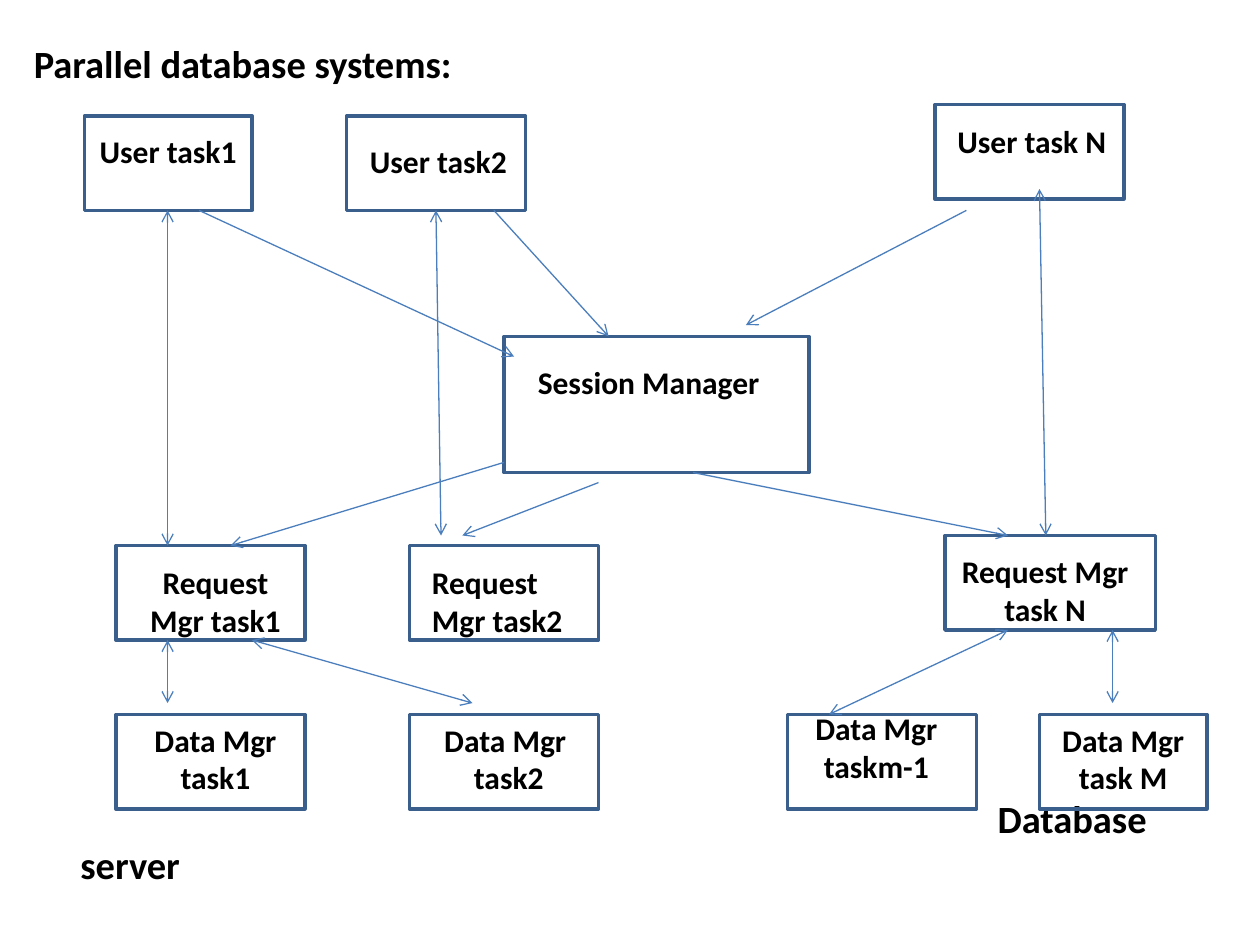
from dataclasses import dataclass

from lxml import etree
from pptx import Presentation
from pptx import util as u
from pptx.dml import color
from pptx.enum import shapes, text
from pptx.oxml import ns


@dataclass(frozen=True)
class Theme:
    font: str = "Calibri"
    ink: color.RGBColor = color.RGBColor(0x00, 0x00, 0x00)
    outline: color.RGBColor = color.RGBColor(0x3A, 0x5F, 0x8C)
    arrow: color.RGBColor = color.RGBColor(0x4B, 0x7E, 0xBC)
    heading_size: int = 22
    label_size: int = 18
    outline_width: float = 2
    arrow_width: float = 0.75


@dataclass(frozen=True)
class Area:
    left: float
    top: float
    width: float
    height: float

    def emu(self) -> list[u.Length]:
        return [u.Inches(v) for v in (self.left, self.top, self.width, self.height)]


@dataclass(frozen=True)
class Label:
    caption: str
    area: Area
    align: text.PP_ALIGN = text.PP_ALIGN.CENTER
    wrap: bool = True


@dataclass(frozen=True)
class Node:
    box: Area
    label: Label


@dataclass(frozen=True)
class Arrow:
    start: tuple[float, float]
    end: tuple[float, float]
    two_way: bool = False


THEME = Theme()
LEFT = text.PP_ALIGN.LEFT
ROW = 0.75
DATA_TOP = 5.67

NODES = [
    Node(Area(0.67, 0.92, 1.33, ROW), Label("User task1", Area(0.67, 1, 1.33, 0.4))),
    Node(Area(2.75, 0.92, 1.42, ROW),
         Label("User task2", Area(2.83, 1.08, 1.3, 0.4), wrap=False)),
    Node(Area(7.42, 0.83, 1.5, ROW),
         Label("User task N", Area(7.5, 0.92, 1.4, 0.4), LEFT, wrap=False)),
    Node(Area(4, 2.67, 2.42, 1.08),
         Label("Session Manager", Area(4.17, 2.83, 2, 0.4), LEFT)),
    Node(Area(0.92, 4.33, 1.5, ROW),
         Label("Request Mgr task1", Area(1, 4.42, 1.42, 0.71))),
    Node(Area(3.25, 4.33, 1.5, ROW),
         Label("Request Mgr task2", Area(3.33, 4.42, 1.43, 0.71), LEFT)),
    Node(Area(7.5, 4.25, 1.67, ROW),
         Label("Request Mgr task N", Area(7.42, 4.33, 1.75, 0.71))),
    Node(Area(0.92, DATA_TOP, 1.5, ROW),
         Label("Data Mgr task1", Area(1, DATA_TOP, 1.42, 0.71))),
    Node(Area(3.25, DATA_TOP, 1.5, ROW),
         Label("Data Mgr\v task2", Area(3.42, DATA_TOP, 1.18, 0.71), wrap=False)),
    Node(Area(6.25, DATA_TOP, 1.5, ROW),
         Label("Data Mgr taskm-1", Area(6.33, 5.58, 1.25, 0.71))),
    Node(Area(8.25, DATA_TOP, 1.33, ROW),
         Label("Data Mgr task M", Area(8.25, DATA_TOP, 1.33, 0.71))),
]

ARROWS = [
    Arrow((1.58, 1.67), (4.08, 2.83)),
    Arrow((1.33, 1.67), (1.33, 4.33), two_way=True),
    Arrow((1.33, 5.08), (1.33, 5.58), two_way=True),
    Arrow((2, 5.08), (3.75, 5.58), two_way=True),
    Arrow((8, 5), (6.58, 5.67), two_way=True),
    Arrow((8.83, 5), (8.83, 5.58), two_way=True),
    Arrow((8.25, 1.5), (8.3, 4.25), two_way=True),
    Arrow((7.67, 1.67), (5.92, 2.58)),
    Arrow((4.75, 3.83), (3.67, 4.25)),
    Arrow((4, 3.67), (1.83, 4.33)),
    Arrow((3.46, 1.67), (3.5, 4.25), two_way=True),
    Arrow((3.92, 1.67), (4.83, 2.67)),
    Arrow((5.5, 3.75), (8, 4.25)),
]

TITLE = Label("Parallel database systems:", Area(0.17, 0.27, 9.67, 0.47), LEFT)
FOOTER = Label("Database server", Area(0.54, 6.26, 9.2, 0.84), LEFT)
FOOTER_INDENT = 7.28


def add_box(s, area: Area) -> None:
    sp = s.shapes.add_shape(shapes.MSO_SHAPE.RECTANGLE, *area.emu())
    sp.shadow.inherit = False
    sp.fill.background()
    sp.line.color.rgb = THEME.outline
    sp.line.width = u.Pt(THEME.outline_width)


def add_label(s, label: Label, size: int, indent: float = 0) -> None:
    tf = s.shapes.add_textbox(*label.area.emu()).text_frame
    tf.word_wrap = label.wrap
    p = tf.paragraphs[0]
    p.text = label.caption
    p.alignment = label.align
    if indent:
        p._p.get_or_add_pPr().set("indent", str(u.Inches(indent)))
    p.font.name = THEME.font
    p.font.size = u.Pt(size)
    p.font.bold = True
    p.font.color.rgb = THEME.ink


def add_arrow(s, arrow: Arrow) -> None:
    ends = [u.Inches(v) for v in (*arrow.start, *arrow.end)]
    cx = s.shapes.add_connector(shapes.MSO_CONNECTOR.STRAIGHT, *ends)
    cx.line.color.rgb = THEME.arrow
    cx.line.width = u.Pt(THEME.arrow_width)
    ln = cx.line._get_or_add_ln()
    for tag in ("a:headEnd", "a:tailEnd") if arrow.two_way else ("a:tailEnd",):
        etree.SubElement(ln, ns.qn(tag), type="arrow")
    etree.SubElement(cx._element.spPr, ns.qn("a:effectLst"))


def main() -> None:
    prs = Presentation()
    prs.slide_width, prs.slide_height = u.Inches(10), u.Inches(7.5)
    s = prs.slides.add_slide(prs.slide_layouts[6])
    add_label(s, TITLE, THEME.heading_size)
    add_label(s, FOOTER, THEME.heading_size, FOOTER_INDENT)
    for node in NODES:
        add_box(s, node.box)
    for node in NODES:
        add_label(s, node.label, THEME.label_size)
    for arrow in ARROWS:
        add_arrow(s, arrow)
    prs.save("out.pptx")


if __name__ == "__main__":
    main()
